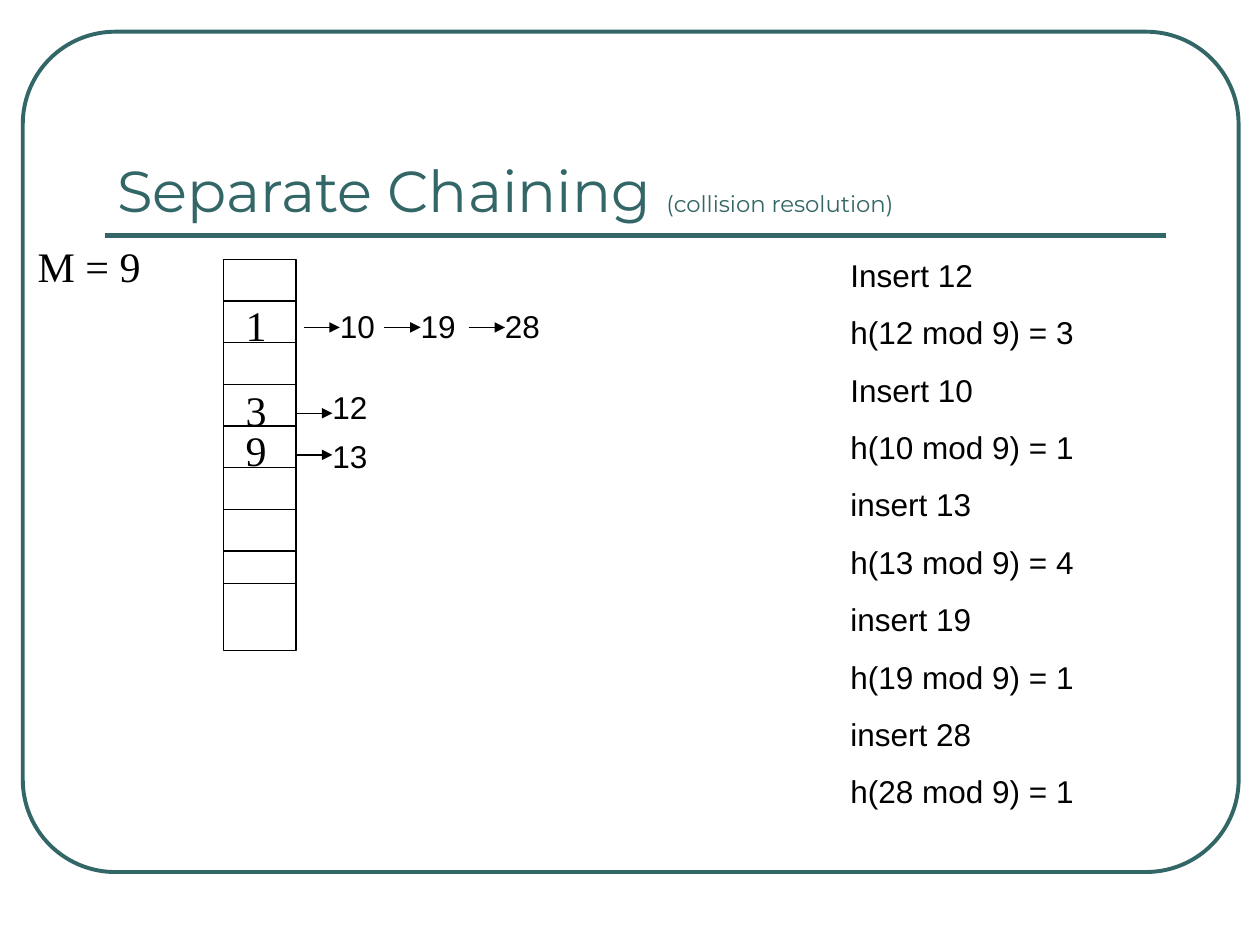
from lxml import etree
from pptx import Presentation
from pptx import util as u
from pptx.dml import color
from pptx.enum import shapes, text
from pptx.oxml import ns

THEME = {
    "teal": color.RGBColor.from_string("336666"),
    "black": color.RGBColor.from_string("000000"),
    "title": {"name": "Montserrat", "size": u.Pt(33)},
    "subtitle": {"name": "Montserrat", "size": u.Pt(13)},
    "slot": {"name": "Times New Roman", "size": u.Pt(24)},
    "body": {"name": "Arial", "size": u.Pt(18)},
    "frame": u.Pt(2.25),
    "rule": u.Pt(3),
    "thin": u.Pt(0.75),
}


def set_values(target, values):
    for name, value in values.items():
        setattr(target, name, value)


def write(paragraph, words, style, ink="black"):
    run = paragraph.add_run()
    run.text = words
    set_values(run.font, THEME[style])
    run.font.color.rgb = THEME[ink]


presentation = Presentation()
set_values(presentation, {"slide_width": u.Cm(25.4), "slide_height": u.Cm(19.05)})
slide = presentation.slides.add_slide(presentation.slide_layouts[1])

array_left, array_top, array_width, array_height = 4.5, 5.23, 1.47, 7.88
array_right = array_left + array_width
array_middle = array_top + array_height / 2
slot_height = 0.84

outlines = []
for kind, left, top, width, height, ink, weight in [
    (shapes.MSO_SHAPE.ROUNDED_RECTANGLE, 0.46, 0.64, 24.51, 16.94, "teal", "frame"),
    (shapes.MSO_SHAPE.RECTANGLE, array_left, array_top, array_width, array_height, "black", "thin"),
]:
    shape = slide.shapes.add_shape(kind, u.Cm(left), u.Cm(top), u.Cm(width), u.Cm(height))
    shape.shadow.inherit = False
    shape.fill.background()
    shape.line.color.rgb = THEME[ink]
    shape.line.width = THEME[weight]
    outlines.append(shape)
frame, array = outlines
frame.adjustments[0] = 0.11

title = slide.shapes.title
set_values(title, {"left": u.Cm(2.11), "top": u.Cm(1.47), "width": u.Cm(21.39), "height": u.Cm(3.18)})
set_values(title.text_frame, {"vertical_anchor": text.MSO_ANCHOR.BOTTOM, "auto_size": text.MSO_AUTO_SIZE.NONE})
paragraph = title.text_frame.paragraphs[0]
paragraph.alignment = text.PP_ALIGN.LEFT
write(paragraph, "Separate Chaining ", "title", "teal")
write(paragraph, "(collision resolution)", "subtitle", "teal")

body = slide.placeholders[1]
set_values(body, {"left": u.Cm(16.89), "top": u.Cm(5.03), "width": u.Cm(6.71), "height": u.Cm(12.62)})
body.text_frame.auto_size = text.MSO_AUTO_SIZE.NONE
steps = [("Insert", 12, 3), ("Insert", 10, 1), ("insert", 13, 4), ("insert", 19, 1), ("insert", 28, 1)]
lines = [line for verb, key, slot in steps for line in (f"{verb} {key}", f"h({key} mod 9) = {slot}")]
for index, line in enumerate(lines):
    paragraph = body.text_frame.add_paragraph() if index else body.text_frame.paragraphs[0]
    paragraph.space_before = u.Pt(11.2)
    properties = paragraph._p.get_or_add_pPr()
    properties.set("marL", "0")
    properties.set("indent", "0")
    etree.SubElement(properties, ns.qn("a:buNone"))
    write(paragraph, line, "body")

chain = [
    (6.12, 6.6, "10", 6.07),
    (7.75, 6.6, "19", 6.07),
    (9.45, 6.6, "28", 6.07),
    (array_right, 8.33, "12", 7.7),
    (array_right, array_middle, "13", 8.69),
]
arrow_length, label_offset = 0.73, 0.48

dividers = [array_top + slot_height * number for number in range(1, 8)] + [11.76]
connectors = [(2.11, 4.75, 23.5, "teal", "rule", False)]
connectors += [(array_right, y, array_left, "black", "thin", False) for y in dividers]
connectors += [(x, y, x + arrow_length, "black", "thin", True) for x, y, _, _ in chain]
for start, y, end, ink, weight, arrow in connectors:
    connector = slide.shapes.add_connector(
        shapes.MSO_CONNECTOR.STRAIGHT, u.Cm(start), u.Cm(y), u.Cm(end), u.Cm(y))
    connector.line.color.rgb = THEME[ink]
    connector.line.width = THEME[weight]
    if arrow:
        etree.SubElement(connector.line._get_or_add_ln(), ns.qn("a:tailEnd"), type="triangle")
    etree.SubElement(connector._element.spPr, ns.qn("a:effectLst"))
    if arrow and y == array_middle:
        connector.begin_connect(array, 3)

labels = [(4.7, top, 1.47, 1.27, words, "slot", True) for top, words in [(5.92, "1"), (7.62, "3"), (8.43, "9")]]
labels += [(0.51, 4.72, 3.61, 1.27, "M = 9", "slot", True)]
labels += [(x + label_offset, top, 1.22, 1.02, words, "body", False) for x, _, words, top in chain]
for left, top, width, height, words, style, wrap in labels:
    box = slide.shapes.add_textbox(u.Cm(left), u.Cm(top), u.Cm(width), u.Cm(height))
    set_values(box.text_frame, {"word_wrap": wrap, "auto_size": text.MSO_AUTO_SIZE.SHAPE_TO_FIT_TEXT})
    paragraph = box.text_frame.paragraphs[0]
    if style == "slot":
        paragraph.space_before = u.Pt(15)
    write(paragraph, words, style)

presentation.save("out.pptx")
